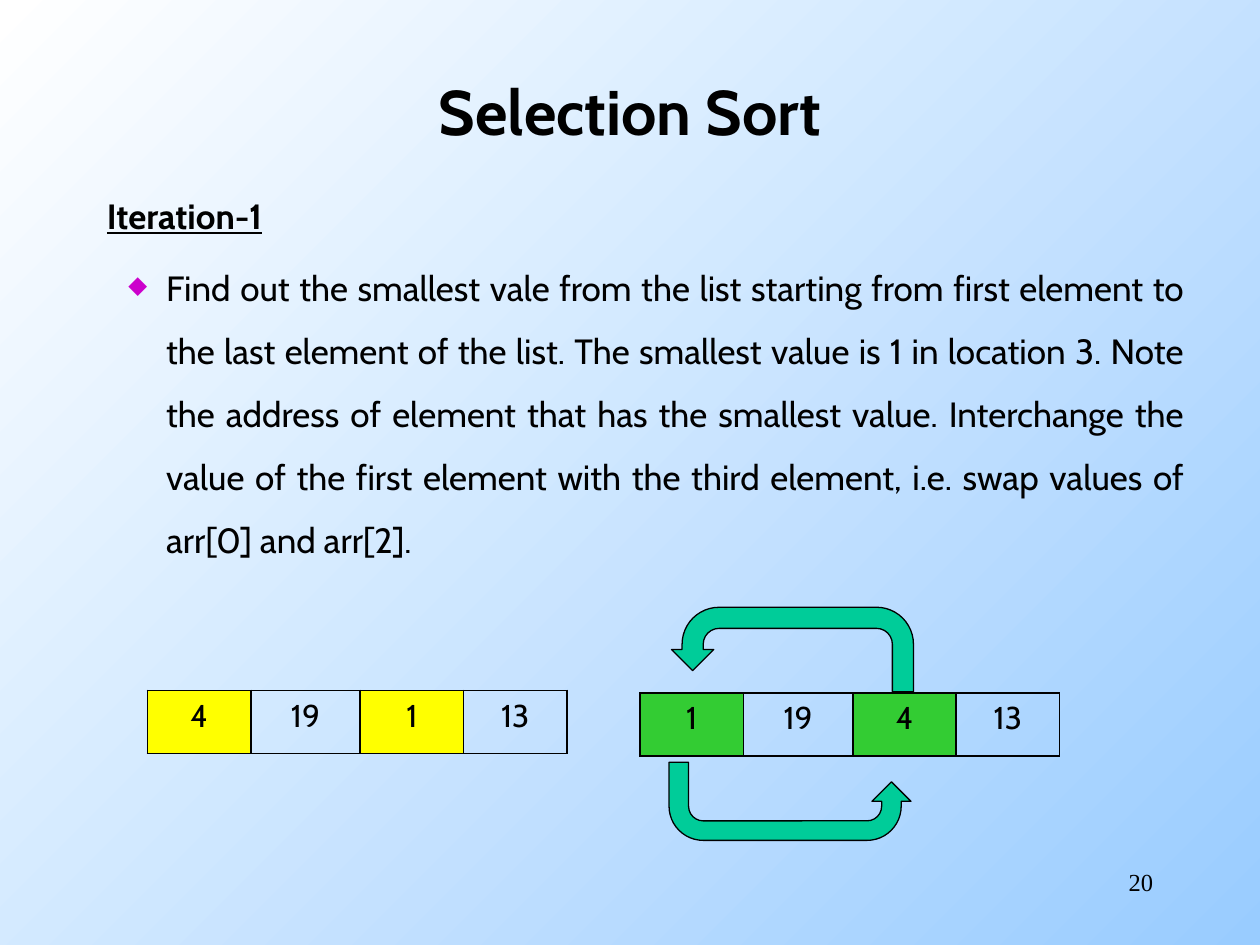
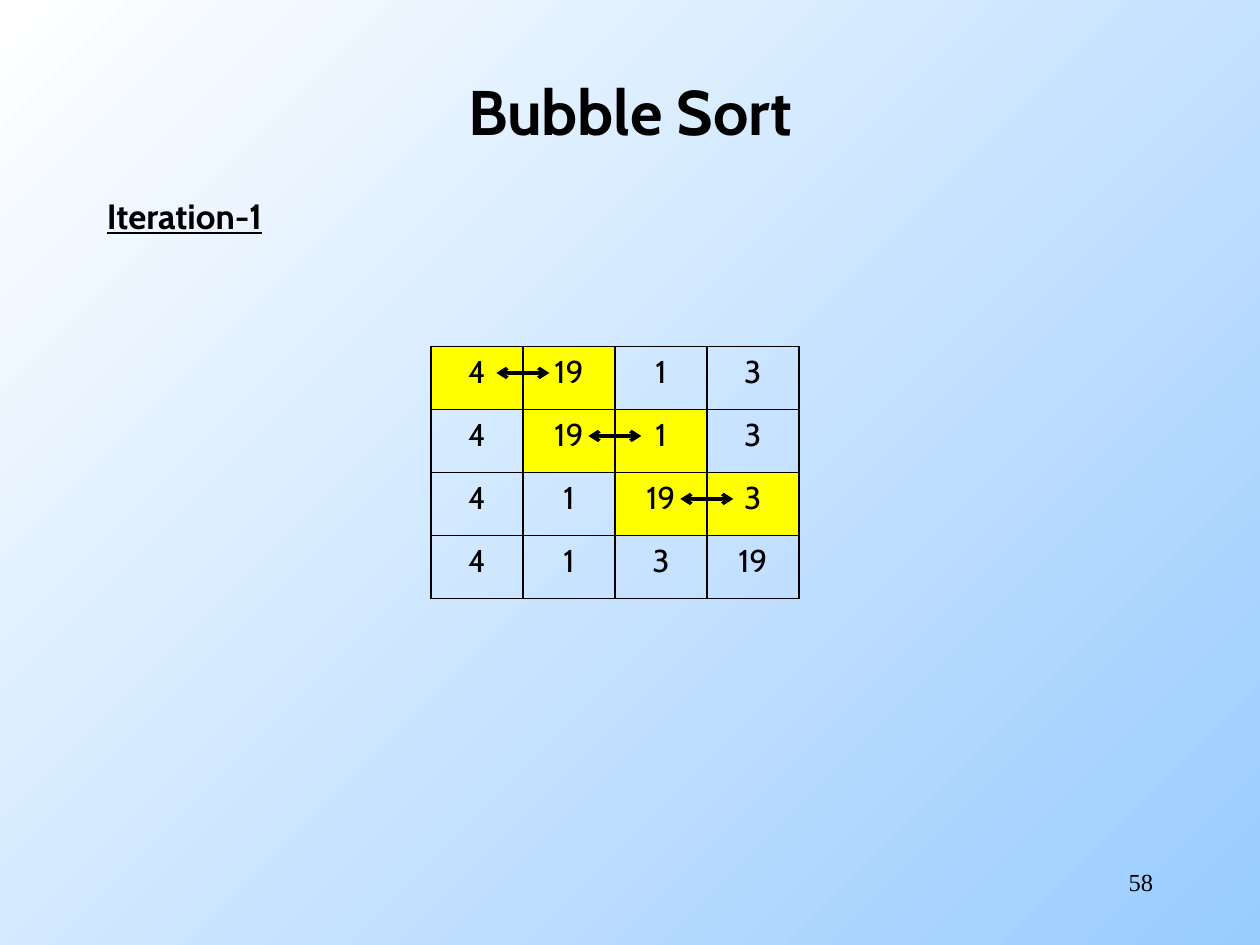
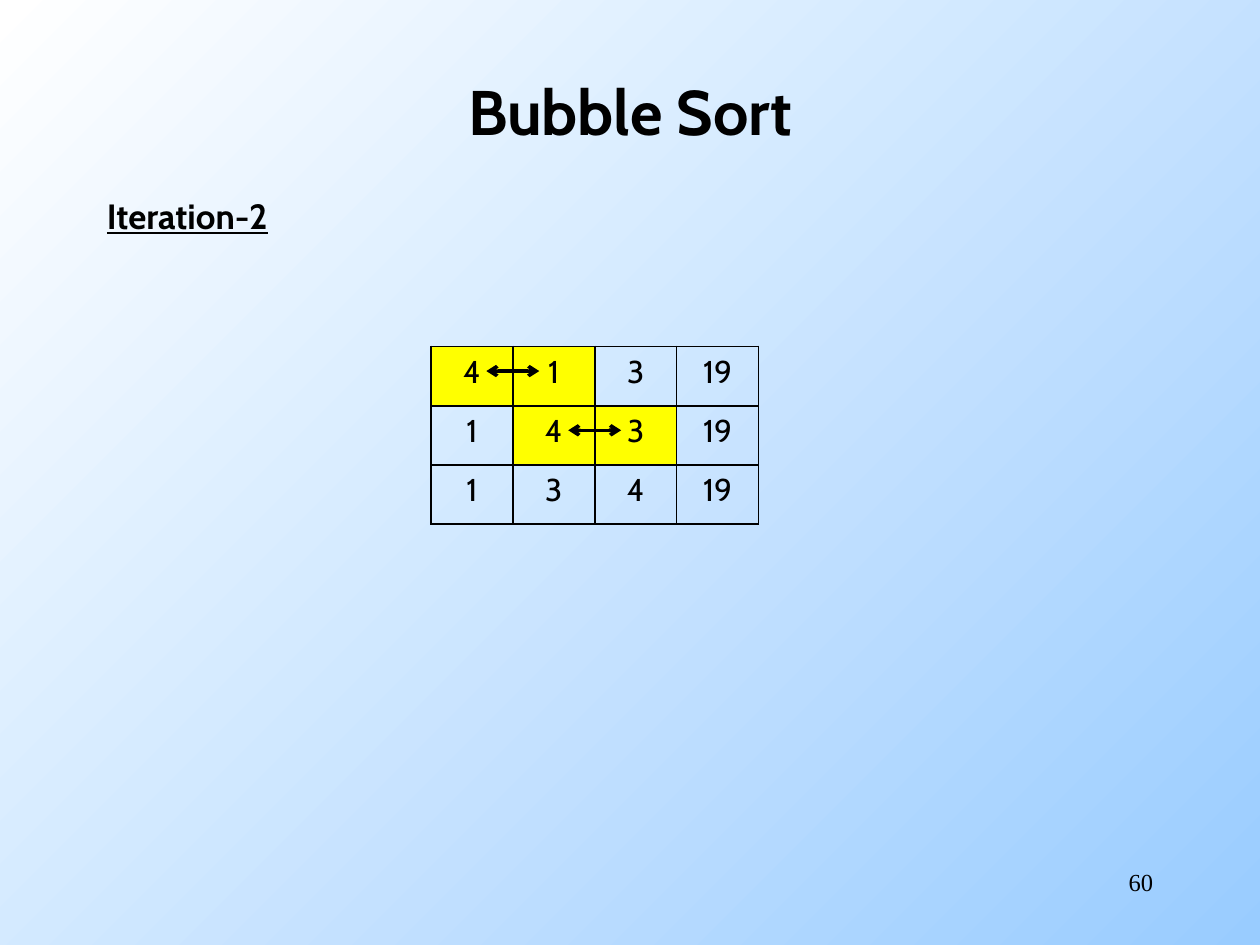
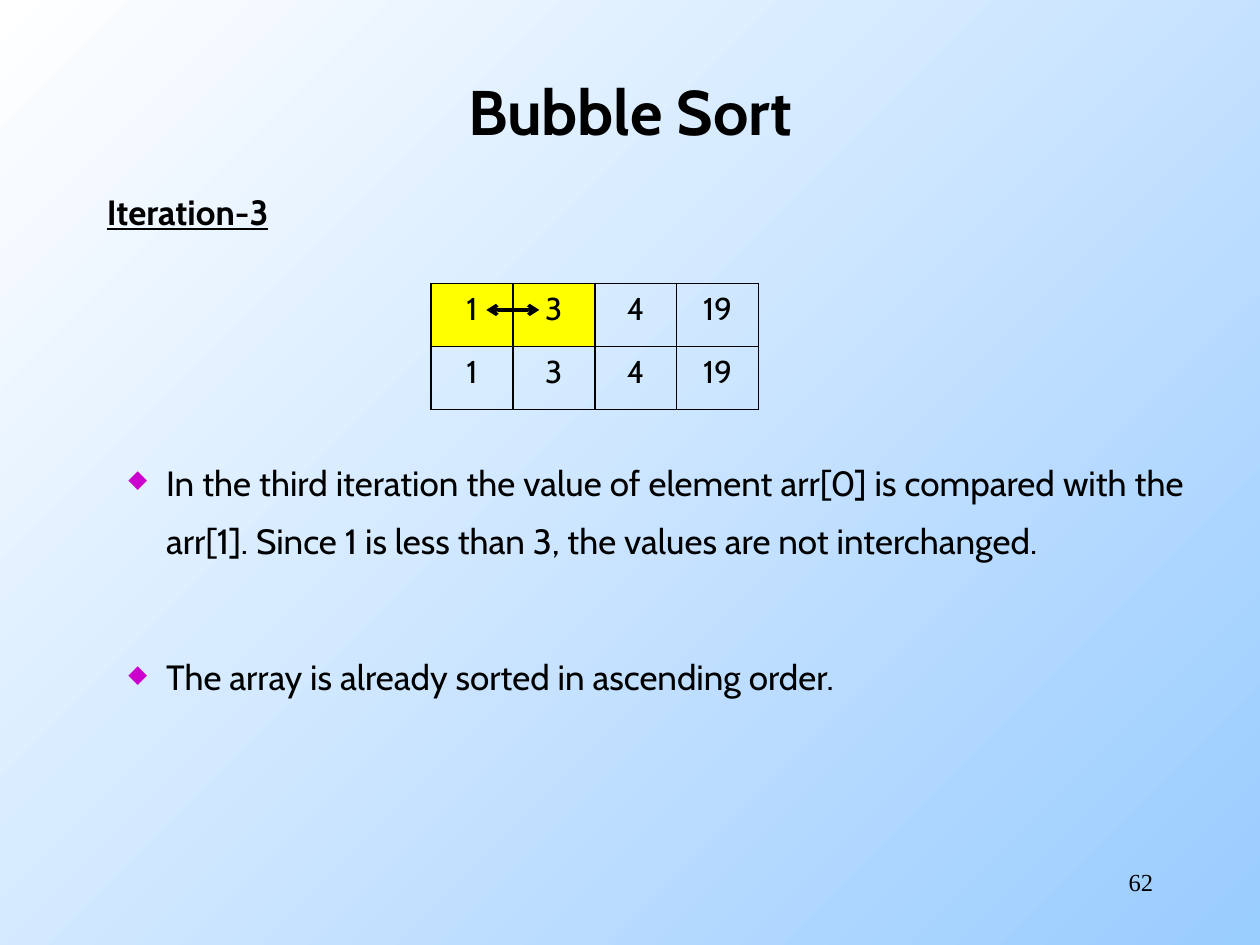
from lxml.etree import SubElement
from pptx import Presentation
from pptx.dml.color import RGBColor
from pptx.enum.shapes import MSO_CONNECTOR, MSO_SHAPE
from pptx.enum.text import MSO_ANCHOR, PP_ALIGN
from pptx.oxml import parse_xml
from pptx.oxml.ns import nsdecls, qn
from pptx.util import Inches, Pt

COLORS = {
    "text": "000000",
    "line": "000000",
    "background_start": "FFFFFF",
    "background_end": "99CCFF",
    "bullet": "CC00CC",
    "compared": "FFFF00",
    "swapped": "33CC33",
    "arrow": "00CC99",
}
BODY_FONT = "Cabin"
NUMBER_FONT = "Times New Roman"
TABLE_LEFT = 3.42
BORDER_WIDTH = 1.08


def color(name):
    return RGBColor.from_string(COLORS[name])


def write(paragraph, text, size=20, font=BODY_FONT, bold=False, underline=False,
          align=PP_ALIGN.JUSTIFY, line_spacing=None, space_before=0, bullet=False):
    if bullet:
        add_bullet(paragraph)
    paragraph.alignment = align
    paragraph.space_before = Pt(space_before)
    if line_spacing:
        paragraph.line_spacing = line_spacing
    run = paragraph.add_run()
    run.text = text
    run.font.name = font
    run.font.size = Pt(size)
    run.font.bold = bold
    run.font.underline = underline
    run.font.color.rgb = color("text")


def add_bullet(paragraph):
    properties = paragraph._p.get_or_add_pPr()
    properties.set("marL", str(Inches(0.47)))
    properties.set("indent", str(Inches(-0.3)))
    bullet_color = SubElement(properties, qn("a:buClr"))
    SubElement(bullet_color, qn("a:srgbClr"), val=COLORS["bullet"])
    SubElement(properties, qn("a:buSzPct"), val="70000")
    SubElement(properties, qn("a:buChar"), char="◆")


def add_borders(cell):
    properties = cell._tc.get_or_add_tcPr()
    for position, side in enumerate(("lnL", "lnR", "lnT", "lnB")):
        border = parse_xml(
            f'<a:{side} {nsdecls("a")} w="{Pt(BORDER_WIDTH)}"><a:solidFill>'
            f'<a:srgbClr val="{COLORS["line"]}"/></a:solidFill></a:{side}>')
        properties.insert(position, border)


class Deck:
    """Holds the presentation, its style and the current slide."""

    def __init__(self):
        self.presentation = Presentation()
        self.presentation.slide_width = Inches(10)
        self.presentation.slide_height = Inches(7.5)
        self.slide = None

    def new_slide(self, title, number):
        self.slide = self.presentation.slides.add_slide(self.presentation.slide_layouts[6])
        fill = self.slide.background.fill
        fill.gradient()
        fill.gradient_angle = 315
        for stop, name in zip(fill.gradient_stops, ("background_start", "background_end")):
            stop.color.rgb = color(name)
        number_frame = self.text_box(7.17, 6.83, 2.08, 0.5)
        write(number_frame.paragraphs[0], str(number), size=14, font=NUMBER_FONT,
              align=PP_ALIGN.RIGHT)
        title_frame = self.text_box(0.75, 0.25, 8.5, 1.25)
        title_frame.vertical_anchor = MSO_ANCHOR.MIDDLE
        write(title_frame.paragraphs[0], title, size=36, bold=True, align=PP_ALIGN.CENTER)

    def text_box(self, left, top, width, height):
        shape = self.slide.shapes.add_textbox(
            Inches(left), Inches(top), Inches(width), Inches(height))
        shape.text_frame.word_wrap = True
        return shape.text_frame

    def body(self, heading, bullets=(), line_spacing=1.5, height=4.75):
        """Add the heading, then bullets given as (text, points before)."""
        frame = self.text_box(0.75, 1.33, 8.75, height)
        write(frame.paragraphs[0], heading, bold=True, underline=True,
              line_spacing=line_spacing)
        for text, space_before in bullets:
            write(frame.add_paragraph(), text, line_spacing=line_spacing,
                  space_before=space_before, bullet=True)

    def table(self, left, top, widths, row_height, rows, highlighted, fill="compared"):
        """Add a grid of values; highlighted holds (row, column) pairs."""
        shape = self.slide.shapes.add_table(
            len(rows), len(widths), Inches(left), Inches(top),
            Inches(sum(widths)), Inches(row_height * len(rows)))
        table = shape.table
        table.first_row = table.horz_banding = False
        for column, width in zip(table.columns, widths):
            column.width = Inches(width)
        for row_index, values in enumerate(rows):
            table.rows[row_index].height = Inches(row_height)
            for column_index, value in enumerate(values):
                cell = table.cell(row_index, column_index)
                write(cell.text_frame.paragraphs[0], str(value), size=18,
                      align=PP_ALIGN.CENTER)
                if (row_index, column_index) in highlighted:
                    cell.fill.solid()
                    cell.fill.fore_color.rgb = color(fill)
                else:
                    cell.fill.background()
                add_borders(cell)

    def comparison_arrow(self, center, y):
        half = 0.21
        connector = self.slide.shapes.add_connector(
            MSO_CONNECTOR.STRAIGHT, Inches(center - half), Inches(y),
            Inches(center + half), Inches(y))
        connector.line.color.rgb = color("line")
        connector.line.width = Pt(2)
        line = connector.line._get_or_add_ln()
        for end in ("a:headEnd", "a:tailEnd"):
            SubElement(line, qn(end), type="arrow")
        SubElement(connector._element.spPr, qn("a:effectLst"))

    def bubble_passes(self, top, cell_width, row_height, rows):
        """Add a table whose every row but the last compares two neighbours."""
        comparisons = range(len(rows) - 1)
        highlighted = {(i, i + side) for i in comparisons for side in (0, 1)}
        self.table(TABLE_LEFT, top, [cell_width] * 4, row_height, rows, highlighted)
        for i in comparisons:
            self.comparison_arrow(TABLE_LEFT + (i + 1) * cell_width,
                                  top + (i + 0.5) * row_height - 0.04)

    def swap_arrow(self, left, top, width, height, flip):
        shape = self.slide.shapes.add_shape(
            MSO_SHAPE.U_TURN_ARROW, Inches(left), Inches(top), Inches(width), Inches(height))
        shape.shadow.inherit = False
        shape.fill.solid()
        shape.fill.fore_color.rgb = color("arrow")
        shape.line.color.rgb = color("line")
        shape.line.width = Pt(0.75)
        shape._element.spPr.xfrm.set(flip, "1")


def selection_sort(deck):
    deck.new_slide("Selection Sort", 20)
    deck.body("Iteration-1", [(
        "Find out the smallest vale from the list starting from first element to the last "
        "element of the list. The smallest value is 1 in location 3. Note the address of "
        "element that has the smallest value. Interchange the value of the first element "
        "with the third element, i.e. swap values of arr[0] and arr[2].", 5)])
    widths = [0.82, 0.87, 0.82, 0.82]
    exchanged = {(0, 0), (0, 2)}
    deck.table(5.08, 5.5, widths, 0.5, [[1, 19, 4, 13]], exchanged, fill="swapped")
    deck.swap_arrow(5.33, 4.82, 1.92, 0.67, "flipH")
    deck.swap_arrow(5.31, 6.05, 1.92, 0.62, "flipV")
    deck.table(1.17, 5.48, widths, 0.5, [[4, 19, 1, 13]], exchanged)


def bubble_sort(deck):
    deck.new_slide("Bubble Sort", 58)
    deck.body("Iteration-1")
    deck.bubble_passes(2.75, 0.73, 0.5, [
        [4, 19, 1, 3], [4, 19, 1, 3], [4, 1, 19, 3], [4, 1, 3, 19]])

    deck.new_slide("Bubble Sort", 60)
    deck.body("Iteration-2", height=1.08)
    deck.bubble_passes(2.75, 0.65, 0.47, [[4, 1, 3, 19], [1, 4, 3, 19], [1, 3, 4, 19]])

    deck.new_slide("Bubble Sort", 62)
    deck.body("Iteration-3", [
        ("In the third iteration the value of element arr[0] is compared with the arr[1]. "
         "Since 1 is less than 3, the values are not interchanged.", 121),
        ("The array is already sorted in ascending order.", 44),
    ], line_spacing=1.4)
    deck.bubble_passes(2.25, 0.65, 0.5, [[1, 3, 4, 19], [1, 3, 4, 19]])


def main():
    deck = Deck()
    selection_sort(deck)
    bubble_sort(deck)
    deck.presentation.save("out.pptx")


if __name__ == "__main__":
    main()
